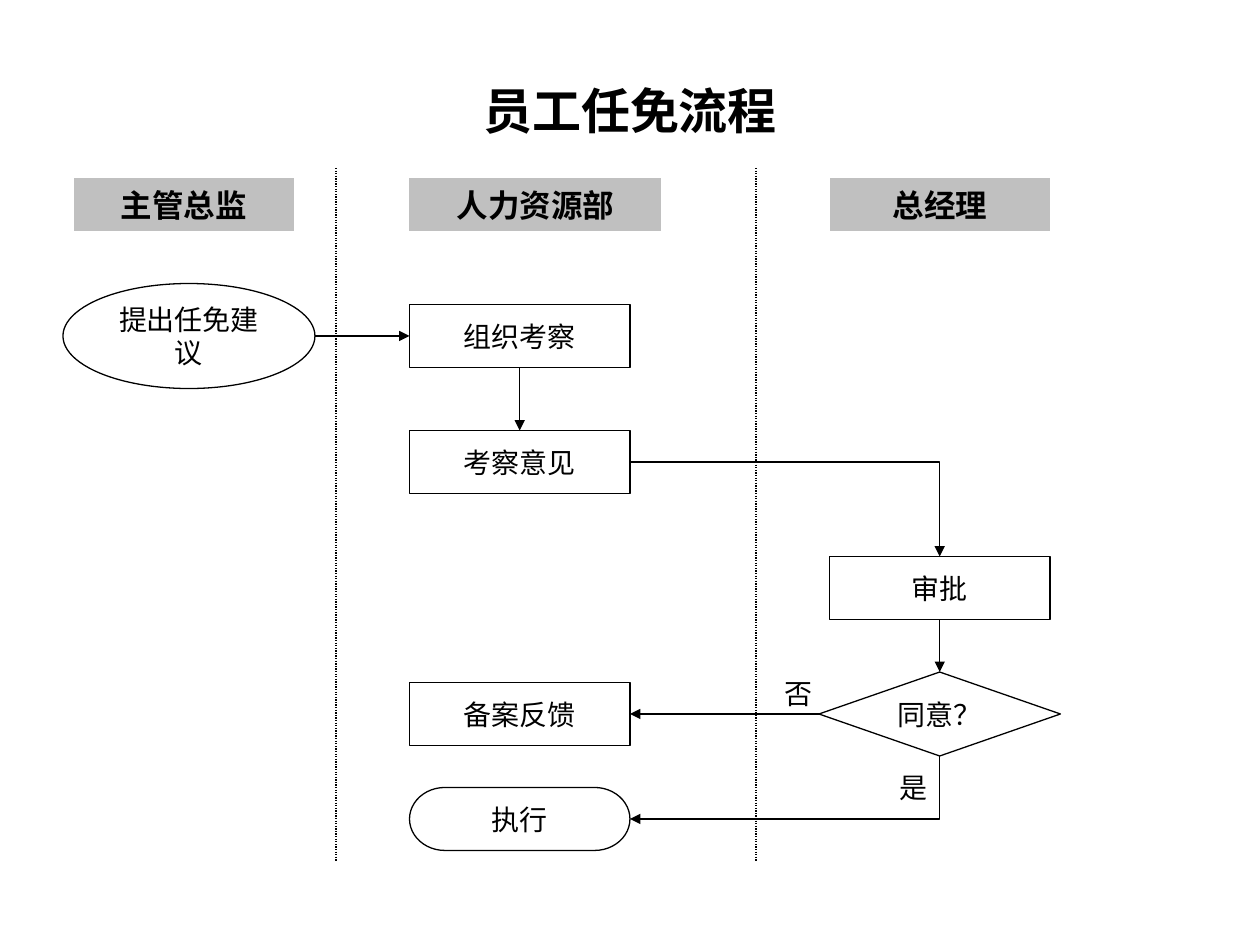
import pptx
import pptx.dml.color
import pptx.enum.dml
import pptx.enum.shapes
import pptx.enum.text
import pptx.oxml
import pptx.oxml.ns
import pptx.util

COLORS = {"ink": "000000", "header": "C0C0C0"}
FONT = "Times New Roman"
SLIDE_WIDTH, SLIDE_HEIGHT = pptx.util.Inches(10), pptx.util.Inches(7.5)
COLUMNS, ROWS = 120, 90
SHAPES = pptx.enum.shapes.MSO_SHAPE
CONNECTORS = pptx.enum.shapes.MSO_CONNECTOR
HR_LEFT, MANAGER_LEFT = 39, 79
STEP_WIDTH, STEP_HEIGHT = 21, 6
HR_CENTER = HR_LEFT + STEP_WIDTH / 2
HR_RIGHT = HR_LEFT + STEP_WIDTH
MANAGER_CENTER = MANAGER_LEFT + STEP_WIDTH / 2


def across(columns):
    """Return the length of a number of grid columns."""
    return round(SLIDE_WIDTH * columns / COLUMNS)


def down(rows):
    """Return the length of a number of grid rows."""
    return round(SLIDE_HEIGHT * rows / ROWS)


def grid_box(left, top, width, height):
    """Convert a grid rectangle to slide lengths."""
    return across(left), down(top), across(width), down(height)


def color(name):
    """Look up a named colour."""
    return pptx.dml.color.RGBColor.from_string(COLORS[name])


def write(frame, text, size=16, bold=False):
    """Put centred text in a text frame."""
    frame.word_wrap = True
    frame.auto_size = pptx.enum.text.MSO_AUTO_SIZE.NONE
    frame.vertical_anchor = pptx.enum.text.MSO_ANCHOR.MIDDLE
    para = frame.paragraphs[0]
    para.alignment = pptx.enum.text.PP_ALIGN.CENTER
    span = para.add_run()
    span.text = text
    span.font.name = FONT
    span.font.size = pptx.util.Pt(size)
    span.font.bold = bold
    span.font.color.rgb = color("ink")


def add_title(page, text):
    """Fill and place the title placeholder."""
    title = page.shapes.title
    title.left, title.top, title.width, title.height = grid_box(9, 8, 102, 5)
    write(title.text_frame, text, size=28, bold=True)


def add_header(page, text, left, width):
    """Add a grey lane header."""
    box = page.shapes.add_shape(SHAPES.FLOWCHART_PROCESS, *grid_box(left, 17, width, 5))
    box.shadow.inherit = False
    box.fill.solid()
    box.fill.fore_color.rgb = color("header")
    box.line.fill.background()
    write(box.text_frame, text, size=18, bold=True)


def add_step(page, text, left, top, width=STEP_WIDTH, height=STEP_HEIGHT,
             kind=SHAPES.FLOWCHART_PROCESS):
    """Add an outlined flowchart step."""
    box = page.shapes.add_shape(kind, *grid_box(left, top, width, height))
    box.shadow.inherit = False
    box.fill.background()
    box.line.color.rgb = color("ink")
    box.line.width = pptx.util.Pt(0.75)
    write(box.text_frame, text)


def add_label(page, text, left, top):
    """Add a small branch label."""
    box = page.shapes.add_textbox(*grid_box(left, top, 6, 6))
    write(box.text_frame, text)


def add_line(page, start, end, kind=CONNECTORS.STRAIGHT):
    """Add a thin connector between two grid points."""
    line = page.shapes.add_connector(
        kind, across(start[0]), down(start[1]), across(end[0]), down(end[1]))
    line.line.color.rgb = color("ink")
    line.line.width = pptx.util.Pt(0.75)
    pptx.oxml.ns.qn("a:effectLst")
    properties = line._element.spPr
    properties.append(properties.makeelement(pptx.oxml.ns.qn("a:effectLst"), {}))
    return line


def add_divider(page, column):
    """Add a dotted line between two lanes."""
    line = add_line(page, (column, 16), (column, 82))
    line.line.dash_style = pptx.enum.dml.MSO_LINE.ROUND_DOT


def add_arrow(page, start, end, kind=CONNECTORS.STRAIGHT):
    """Add a connector with a triangular arrowhead at its end."""
    arrow = add_line(page, start, end, kind)
    outline = arrow.line._get_or_add_ln()
    outline.append(outline.makeelement(pptx.oxml.ns.qn("a:tailEnd"), {"type": "triangle"}))
    return arrow


def add_corner_arrow(page, start, end, turned=False):
    """Add a one-bend arrow, turned a quarter when it sets off downward."""
    if turned:
        middle = [(a + b) / 2 for a, b in zip(start, end)]
        half_width, half_height = abs(end[1] - start[1]) / 2, abs(end[0] - start[0]) / 2
        start = middle[0] - half_width, middle[1] - half_height
        end = middle[0] + half_width, middle[1] + half_height
    arrow = add_arrow(page, start, end, CONNECTORS.ELBOW)
    properties = arrow._element.spPr
    properties.find(pptx.oxml.ns.qn("a:prstGeom")).set("prst", "bentConnector2")
    if turned:
        properties.find(pptx.oxml.ns.qn("a:xfrm")).set("rot", str(90 * 60000))


def main():
    """Build the staff appointment flowchart."""
    deck = pptx.Presentation()
    deck.slide_width, deck.slide_height = SLIDE_WIDTH, SLIDE_HEIGHT
    page = deck.slides.add_slide(deck.slide_layouts[5])
    add_title(page, "员工任免流程")

    for text, left, width in (("主管总监", 7, 21), ("人力资源部", HR_LEFT, 24),
                              ("总经理", MANAGER_LEFT, 21)):
        add_header(page, text, left, width)
    for column in (32, 72):
        add_divider(page, column)

    add_step(page, "提出任免建议", 6, 27, 24, 10, SHAPES.OVAL)
    for text, left, top in (("组织考察", HR_LEFT, 29), ("考察意见", HR_LEFT, 41),
                            ("备案反馈", HR_LEFT, 65), ("审批", MANAGER_LEFT, 53)):
        add_step(page, text, left, top)
    add_step(page, "同意？", 78, 64, 23, 8, SHAPES.FLOWCHART_DECISION)
    add_step(page, "执行", HR_LEFT, 75, kind=SHAPES.FLOWCHART_TERMINATOR)

    for start, end in (((30, 32), (HR_LEFT, 32)),
                       ((HR_CENTER, 35), (HR_CENTER, 41)),
                       ((MANAGER_CENTER, 59), (MANAGER_CENTER, 64)),
                       ((78, 68), (HR_RIGHT, 68))):
        add_arrow(page, start, end)
    add_corner_arrow(page, (HR_RIGHT, 44), (MANAGER_CENTER, 53))
    add_corner_arrow(page, (MANAGER_CENTER, 72), (HR_RIGHT, 78), turned=True)

    add_label(page, "否", 73, 63)
    add_label(page, "是", 84, 72)
    deck.save("out.pptx")


if __name__ == "__main__":
    main()
